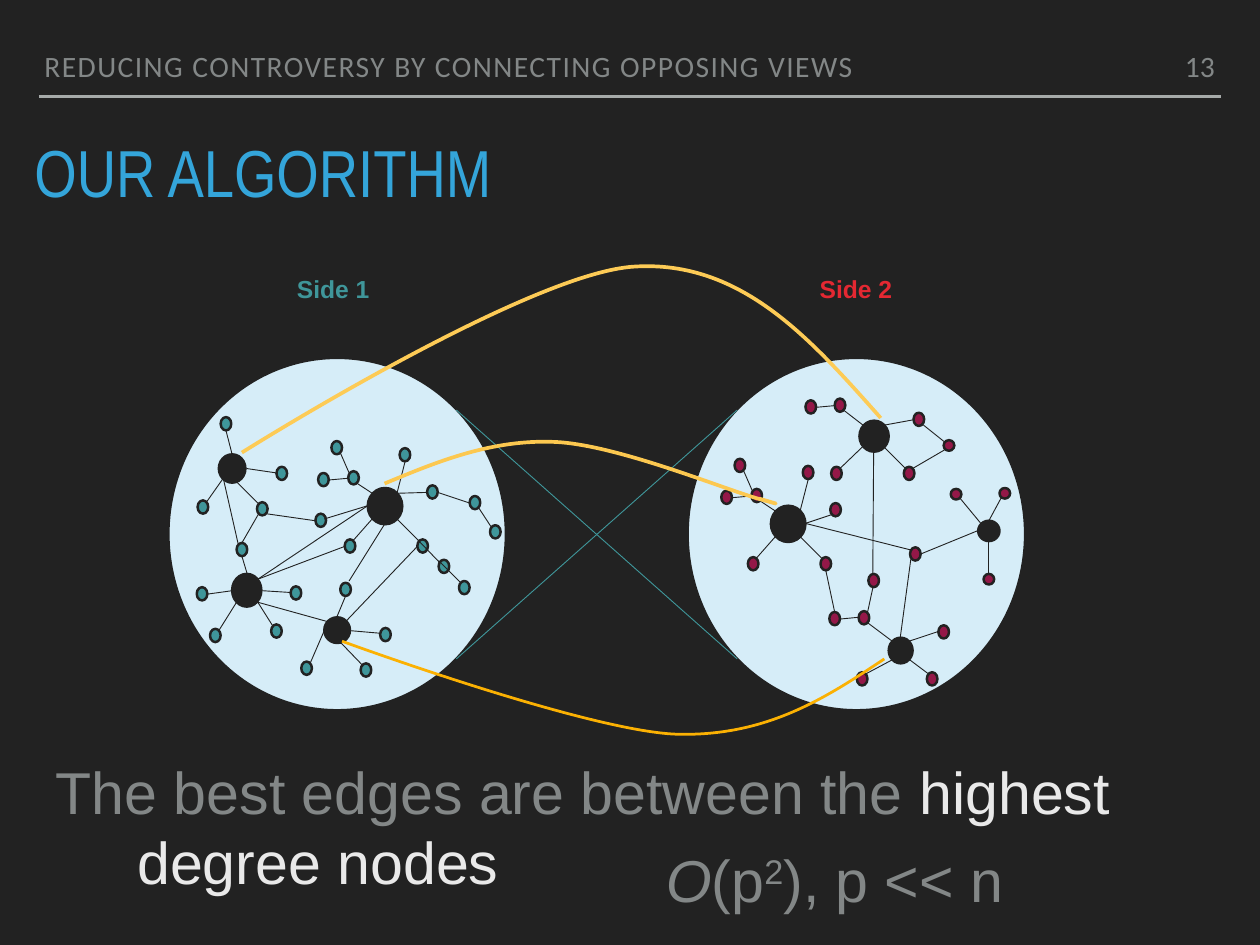
from dataclasses import dataclass, field
from typing import NamedTuple

from lxml import etree
from pptx import Presentation
from pptx.dml.color import RGBColor
from pptx.enum.shapes import MSO_CONNECTOR, MSO_SHAPE
from pptx.enum.text import MSO_ANCHOR, PP_ALIGN
from pptx.oxml.ns import qn
from pptx.util import Emu, Inches, Pt

STRAIGHT = MSO_CONNECTOR.STRAIGHT
OVAL = MSO_SHAPE.OVAL
TOP, MIDDLE, BOTTOM = MSO_ANCHOR.TOP, MSO_ANCHOR.MIDDLE, MSO_ANCHOR.BOTTOM
LEFT, CENTER, RIGHT = PP_ALIGN.LEFT, PP_ALIGN.CENTER, PP_ALIGN.RIGHT

# The grid: square cells of a tenth of an inch
CELL = Inches(0.1)
COLUMNS, ROWS = 142.2, 106.7

DARK, GRAY, WHITE = "222222", "838787", "E9E9E9"
TEAL, CRIMSON, PALE = "3F969A", "941848", "D6EDF8"
THIN, OUTLINE = 0.75, 2


class Area(NamedTuple):
    column: float
    row: float
    width: float = 1.2
    height: float = 1.5


class Edge(NamedTuple):
    column: float
    row: float
    end_column: float
    end_row: float


class Curve(NamedTuple):
    points: list[tuple[float, float]]  # start, then three points per Bezier arc
    color: str
    width: float


@dataclass
class Span:
    text: str
    color: str
    font: dict = field(default_factory=dict)
    attributes: dict = field(default_factory=dict)


@dataclass
class Label:
    area: Area
    spans: list[Span]
    font: dict
    align: PP_ALIGN = LEFT
    anchor: MSO_ANCHOR = TOP
    spacing: float = 1.0
    margin: float | None = 0.6
    hanging: float = 0


DISCS = [Area(column, 40.4, 38.1, 39.8) for column in (19, 77.6)]
CROSS = [Edge(51.5, 46.3, 83.2, 74.4), Edge(51.5, 74.4, 83.2, 46.3)]

# Cluster found on both sides, measured from the corner of its hub
CLUSTER_ORIGINS = {TEAL: (41.5, 55.1), CRIMSON: (87, 57.1)}
CLUSTER_NODES = [(5.6, 5.8), (6.7, -0.3), (-2.6, 5.8), (3.6, -4.5),
                 (-2.2, -1.9), (-4.1, -5.3), (-5.6, -1.7)]
CLUSTER_EDGES = [
    Edge(-2.1, -1.7, -3.1, -4), Edge(-4.4, -0.9, -2.2, -1.1), Edge(0.5, 0.6, -1.3, -0.6),
    Edge(3.3, 0.6, 4.2, -2.9), Edge(3.3, 3.5, 5.8, 6), Edge(0.5, 3.5, -1.7, 6)]

HUBS = [Area(24.7, 51.3, 3, 3.2), Area(26.2, 64.8, 3.3, 3.7), Area(36.6, 69.7, 2.9, 2.9),
        Area(97, 47.5, 3.3, 3.5), Area(100.3, 72, 2.7, 2.9), Area(110.4, 58.8, 2.4, 2.3)]
NODES = {
    TEAL: [Area(*place) for place in [
        (35.6, 58), (29, 56.7), (49.5, 63.2), (51.8, 65.6), (22.3, 56.5), (31.2, 52.7),
        (24.9, 47.1), (23.7, 71), (22.2, 66.3), (32.8, 66.2), (26.7, 61.3), (40.7, 74.9),
        (34, 74.7), (42.9, 70.9), (38.4, 65.8), (30.6, 70.5), (53, 56), (55.3, 59.3)]],
    CRIMSON: [Area(*place) for place in [
        (102, 52.7), (103.1, 46.6), (93.8, 52.7), (94.2, 45), (90.9, 45.2), (104.6, 75.9),
        (105.9, 70.6), (96.7, 75.9), (96.9, 69), (98, 64.8), (93.6, 69.1), (102.7, 61.8)]]
    + [Area(*place, height=1.2) for place in [
        (106.5, 49.7), (112.8, 55.1), (111, 64.8), (107.3, 55.2)]],
}
EDGES = [Edge(*ends) for ends in [
    # Side 1
    (44.8, 55.7, 48.2, 55.6), (41.5, 57.1, 36.6, 58.6), (26.7, 54.4, 29.2, 56.9),
    (47.1, 60.9, 49.6, 63.5), (49.5, 63.3, 52, 65.8), (25.2, 54, 23.3, 56.7),
    (27.8, 52.9, 31.2, 53.4), (26.2, 51.3, 25.5, 48.6), (26.7, 68, 24.7, 71.2),
    (26.2, 66.7, 23.3, 67.1), (29.6, 66.7, 32.8, 66.9), (27.9, 64.8, 27.3, 62.8),
    (38.4, 72.5, 40.9, 75.1), (36.6, 71.2, 35, 74.9), (39.4, 71.2, 42.9, 71.5),
    (38, 69.7, 39, 67.3), (29.1, 68, 30.8, 70.7), (27.3, 61.3, 29.2, 58),
    (26.9, 61.5, 25.2, 54), (29.1, 65.4, 41.5, 57.1), (30, 58, 35.6, 58.8),
    (29.1, 65.4, 38.9, 61.7), (39, 70.2, 47.1, 61.7), (39.4, 65.6, 43.4, 59.2),
    (37, 70.2, 29.1, 68), (49.4, 55.6, 53, 56.8), (54, 57.3, 55.5, 59.6),
    # Side 2
    (90.9, 59.1, 93.9, 58.1), (92, 46, 94.2, 45.8), (97.4, 48, 95.2, 46.3),
    (99.8, 48, 103.1, 47.4), (99.7, 50.4, 102.2, 52.9), (97.4, 50.4, 94.8, 52.9),
    (97.9, 69.2, 98.5, 66.4), (94.8, 69.9, 96.9, 69.7), (100.7, 72.4, 97.9, 70.3),
    (102.6, 72.4, 105.9, 71.3), (102.4, 74.3, 104.8, 76.1), (100.7, 74.5, 97.7, 76.1),
    (103, 52.9, 106.6, 50.8), (104.1, 47.9, 106.6, 49.9), (98.6, 50.9, 98.5, 64.8),
    (93.2, 64.4, 94.2, 69.1), (102.8, 63.1, 101.6, 72), (90.9, 59.1, 102.8, 62.1),
    (103.8, 62.6, 110.4, 59.9), (111.6, 58.8, 113, 56.2), (111.6, 61.1, 111.6, 64.8),
    (110.7, 59.1, 108.3, 56.2)]]

CURVES = [
    Curve([(99.4, 47.2), (91.5, 38.3), (83.7, 29.4), (71.7, 30.1),
           (59.7, 30.7), (27.3, 51.1), (27.3, 51.1)], "FDCB56", 3),
    Curve([(99.8, 74.4), (93.2, 78.8), (86.5, 83.2), (76.3, 82.9),
           (66.1, 82.5), (38.6, 72.4), (38.6, 72.4)], "FBB103", 2.25),
    Curve([(43.4, 54.6), (49.4, 52.1), (55.5, 49.6), (62.6, 49.9), (69.7, 50.2),
           (82.1, 55.4), (85.9, 56.4), (89.8, 57.5), (85.7, 56.3), (85.7, 56.3)], "FCC850", 3)]

HEADER_FONT = {"name": "Calibri", "size": Pt(24)}
SIDE_FONT = {"name": "Arial", "size": Pt(20), "bold": True}
BODY_FONT = {"name": "Arial", "size": Pt(48)}
LABELS = [
    Label(Area(4.4, 5.5, 122.2, 4.5),
          [Span("REDUCING CONTROVERSY BY CONNECTING OPPOSING VIEWS", GRAY,
                attributes={"spc": "120"})], HEADER_FONT, anchor=BOTTOM, spacing=0.8),
    Label(Area(127.7, 5.5, 10, 4.5), [Span("13", GRAY)], HEADER_FONT, RIGHT, BOTTOM, 0.8),
    Label(Area(2.9, 16.8, 136.4, 7.9), [Span("OUR ALGORITHM", "34A5DA")],
          {"name": "Arial Narrow", "size": Pt(54)}, spacing=0.7, margin=None),
    Label(Area(31.2, 30.4, 12.8, 4.4), [Span("Side 1", TEAL)], SIDE_FONT, CENTER, margin=None),
    Label(Area(90.2, 30.4, 12.8, 4.4), [Span("Side 2", "E42832")], SIDE_FONT, CENTER,
          margin=None),
    Label(Area(5.7, 84.6, 132.3, 17.3),
          [Span("The best edges are between the ", GRAY), Span("highest degree nodes", WHITE)],
          BODY_FONT, anchor=MIDDLE, hanging=9.2),
    Label(Area(62.9, 92.3, 62.6, 13.8),
          [Span("O", GRAY, {"italic": True}), Span("(p", GRAY),
           Span("2", GRAY, attributes={"baseline": "30000"}), Span("), p << n", GRAY)],
          BODY_FONT, CENTER, MIDDLE)]


def cells(*counts: float) -> list[Emu]:
    return [Emu(round(count * CELL)) for count in counts]


def paint(target, color: str) -> None:
    """Give a fill or a font one solid colour."""
    if hasattr(target, "solid"):
        target.solid()
        target = target.fore_color
    else:
        target = target.color
    target.rgb = RGBColor.from_string(color)


def draw_line(page, edge: Edge, color: str = DARK, width: float = THIN) -> None:
    line = page.shapes.add_connector(STRAIGHT, *cells(*edge))
    paint(line.line.fill, color)
    line.line.width = Pt(width)
    etree.SubElement(line._element.spPr, qn("a:effectLst"))


def draw_oval(page, area: Area, color: str) -> None:
    shape = page.shapes.add_shape(OVAL, *cells(*area))
    shape.shadow.inherit = False
    paint(shape.fill, color)
    paint(shape.line.fill, DARK)
    shape.line.width = Pt(OUTLINE)


def draw_curve(page, curve: Curve) -> None:
    start, *others = [cells(*point) for point in curve.points]
    builder = page.shapes.build_freeform(*start)
    builder.add_line_segments(others, close=False)
    shape = builder.convert_to_shape()
    shape.shadow.inherit = False
    shape.fill.background()
    paint(shape.line.fill, curve.color)
    shape.line.width = Pt(curve.width)
    # Each three segments become one Bezier arc
    segments = list(shape._element.iter(qn("a:lnTo")))
    for trio in zip(*[iter(segments)] * 3):
        arc = etree.Element(qn("a:cubicBezTo"))
        trio[0].addprevious(arc)
        for segment in trio:
            arc.append(segment[0])
            segment.getparent().remove(segment)


def draw_label(page, label: Label) -> None:
    box = page.shapes.add_textbox(*cells(*label.area))
    frame = box.text_frame
    frame.word_wrap = True
    frame.vertical_anchor = label.anchor
    if label.margin is not None:
        for side in ("left", "top", "right", "bottom"):
            setattr(frame, f"margin_{side}", cells(label.margin)[0])
    para = frame.paragraphs[0]
    para.alignment = label.align
    para.line_spacing = label.spacing
    if label.hanging:
        indent = cells(label.hanging)[0]
        properties = para._p.get_or_add_pPr()
        properties.set("marL", str(indent))
        properties.set("indent", str(-indent))
    for span in label.spans:
        run = para.add_run()
        run.text = span.text
        for name, value in {**label.font, **span.font}.items():
            setattr(run.font, name, value)
        paint(run.font, span.color)
        for name, value in span.attributes.items():
            run._r.get_or_add_rPr().set(name, value)


def main() -> None:
    deck = Presentation()
    deck.slide_width, deck.slide_height = cells(COLUMNS, ROWS)
    page = deck.slides.add_slide(deck.slide_layouts[6])
    paint(page.background.fill, DARK)

    # Header rule, the two sides and the cross between them
    draw_line(page, Edge(4.4, 10.9, 137.8, 10.9), "A6AAA9", 2)
    for disc in DISCS:
        draw_oval(page, disc, PALE)
    for edge in CROSS:
        draw_line(page, edge, TEAL)

    # Networks
    for color, (column, row) in CLUSTER_ORIGINS.items():
        draw_oval(page, Area(column, row, 3.9, 4.1), DARK)
        for right, down in CLUSTER_NODES:
            draw_oval(page, Area(column + right, row + down), color)
        for x1, y1, x2, y2 in CLUSTER_EDGES:
            draw_line(page, Edge(column + x1, row + y1, column + x2, row + y2))
    for hub in HUBS:
        draw_oval(page, hub, DARK)
    for color, nodes in NODES.items():
        for node in nodes:
            draw_oval(page, node, color)
    for edge in EDGES:
        draw_line(page, edge)

    # Best edges and wording
    for curve in CURVES:
        draw_curve(page, curve)
    for label in LABELS:
        draw_label(page, label)
    deck.save("out.pptx")


if __name__ == "__main__":
    main()
